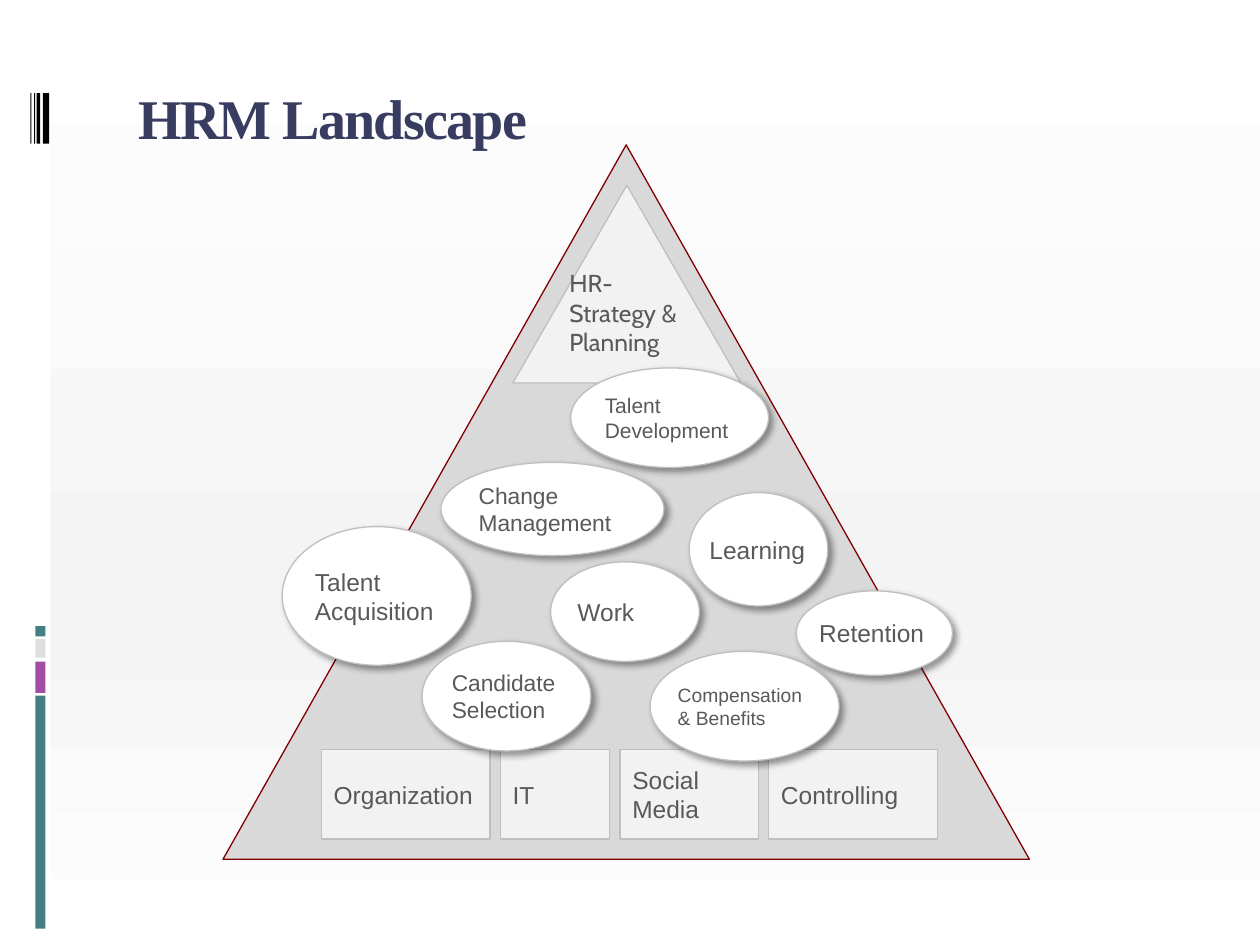
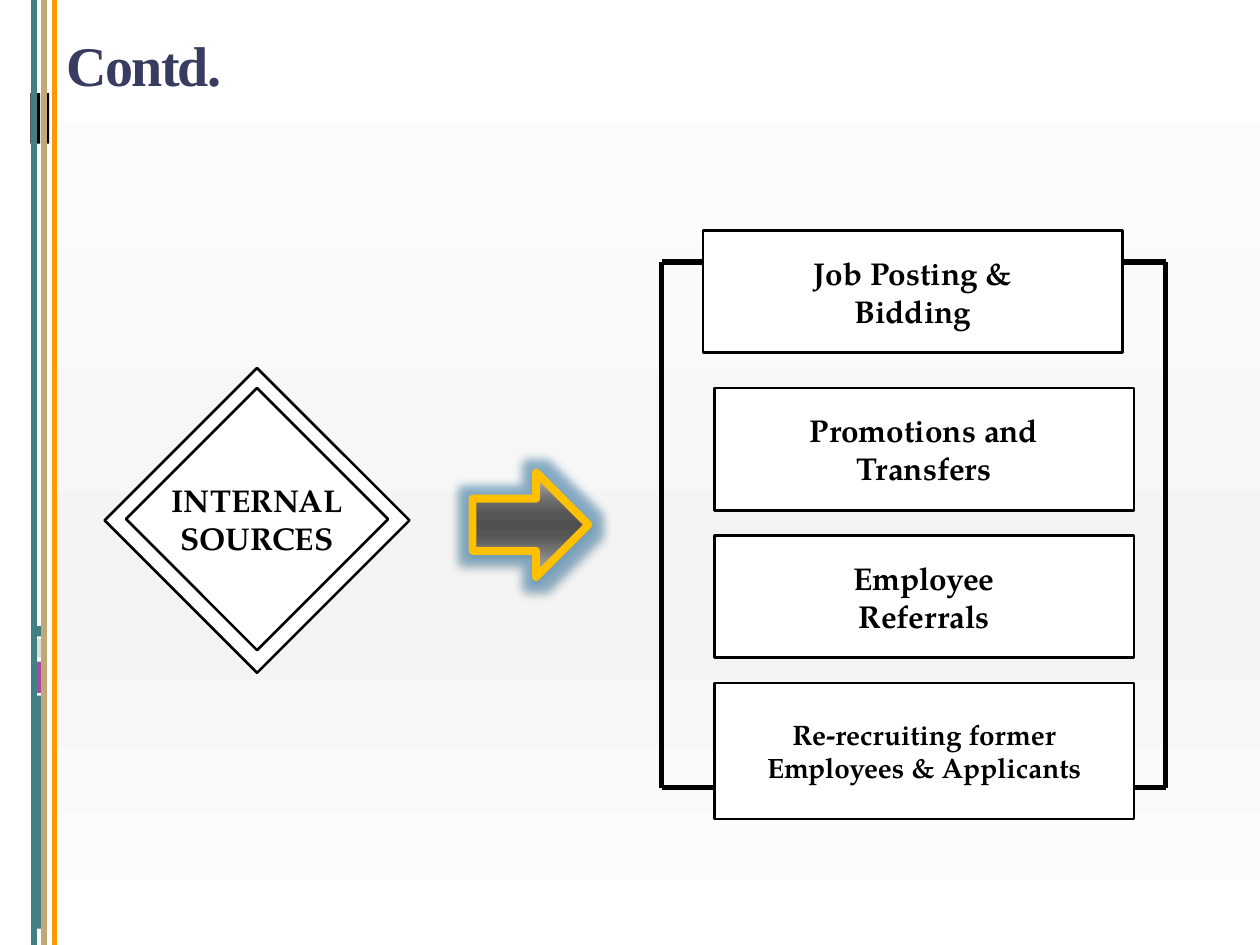
from pptx import Presentation
from pptx.dml.color import RGBColor
from pptx.enum.shapes import MSO_CONNECTOR, MSO_SHAPE as SHAPE
from pptx.enum.text import MSO_ANCHOR as ANCHOR, PP_ALIGN as ALIGN
from pptx.oxml import parse_xml
from pptx.oxml.ns import nsdecls, qn
from pptx.util import Pt

PX = 9144  # 100 px to the inch
WIDTH, HEIGHT = 1000, 750

COLORS = {
    "white": "FFFFFF", "black": "000000", "haze": "F4F4F4",
    "teal": "438086", "purple": "A04DA3", "silver": "DEDEDE",
    "orange": "FF9900", "tan": "C2A874", "gold": "FFC000",
    "title": "383C60", "text": "595959", "edge": "BFBFBF",
    "pyramid": "D9D9D9", "panel": "F2F2F2", "maroon": "800000",
    "rim": "C0C0C0", "grey": "707070", "dark": "555555",
    "core": "505050", "mid": "767676", "glow": "5A99C1",
}
TITLE_FONT, LABEL_FONT, STRATEGY_FONT, SOURCE_FONT = (
    "Times New Roman", "Arial", "Cabin", "TeX Gyre Pagella")
BACKGROUND = [(0, "white"), (65, "haze"), (100, "white")]
METAL = [(0, "rim"), (25, "grey"), (40, "dark"), (50, "core"),
         (60, "dark"), (75, "mid"), (100, "rim")]

# Left edge decoration: left, top, width, height, colour
EDGE_BANDS = [
    (0, 0, 40, HEIGHT, "white"),
    (28, 552, 8, 185, "teal"), (28, 525, 8, 25, "purple"),
    (28, 507, 8, 15, "silver"), (28, 497, 8, 8, "teal"),
    *[(left, 74, width, 40, "black")
      for left, width in ((34, 5), (29, 3), (27, 1), (24, 1))],
]


def rgb(name):
    return RGBColor.from_string(COLORS[name])


class SlideBuilder:
    """Holds the deck style and the slide being drawn."""

    def __init__(self):
        self.deck = Presentation()
        self.deck.slide_width, self.deck.slide_height = WIDTH * PX, HEIGHT * PX
        self.page = None

    def new_page(self):
        self.page = self.deck.slides.add_slide(self.deck.slide_layouts[6])
        self.gradient(self.page.background.fill, self.page.element, BACKGROUND)
        for left, top, width, height, color in EDGE_BANDS:
            self.shape(SHAPE.RECTANGLE, (left, top, width, height), color)

    def gradient(self, fill, owner, stops):
        """Top-to-bottom gradient with any number of stops."""
        fill.gradient()
        element = owner.find(".//" + qn("a:gradFill"))
        stop_list = element.find(qn("a:gsLst"))
        for old in list(stop_list):
            stop_list.remove(old)
        for place, color in stops:
            stop_list.append(parse_xml(
                f'<a:gs {nsdecls("a")} pos="{place * 1000}">'
                f'<a:srgbClr val="{COLORS[color]}"/></a:gs>'))
        element.find(qn("a:lin")).set("ang", "5400000")

    def effect(self, shape, tag, color, alpha, **settings):
        attributes = " ".join(f'{key}="{value}"' for key, value in settings.items())
        shape.element.spPr.find(qn("a:effectLst")).append(parse_xml(
            f'<a:{tag} {nsdecls("a")} {attributes}><a:srgbClr val="{COLORS[color]}">'
            f'<a:alpha val="{alpha * 1000}"/></a:srgbClr></a:{tag}>'))

    def shadow(self, shape, alpha, blur, distance, angle):
        self.effect(shape, "outerShdw", "black", alpha, blurRad=Pt(blur),
                    dist=Pt(distance), dir=angle * 60000, rotWithShape=0)

    def shape(self, kind, place, fill, line=None, weight=0.75):
        shape = self.page.shapes.add_shape(kind, *(value * PX for value in place))
        shape.shadow.inherit = False
        if isinstance(fill, list):
            self.gradient(shape.fill, shape.element, fill)
        else:
            shape.fill.solid()
            shape.fill.fore_color.rgb = rgb(fill)
        if line:
            shape.line.color.rgb = rgb(line)
            shape.line.width = Pt(weight)
        else:
            shape.line.fill.background()
        return shape

    def line(self, start, end, color):
        points = (value * PX for value in (*start, *end))
        line = self.page.shapes.add_connector(MSO_CONNECTOR.STRAIGHT, *points)
        line.line.color.rgb = rgb(color)
        line.line.width = Pt(3)
        line.element.spPr.append(parse_xml(f'<a:effectLst {nsdecls("a")}/>'))

    def label(self, box, paragraphs, size, font, color, bold=False,
              align=ALIGN.LEFT, anchor=ANCHOR.MIDDLE, inset=(10, 5), wrap=True):
        """Each paragraph is a string; a newline in it is a line break."""
        frame = box.text_frame
        frame.word_wrap = wrap
        frame.vertical_anchor = anchor
        frame.margin_left = frame.margin_right = inset[0] * PX
        frame.margin_top = frame.margin_bottom = inset[1] * PX
        spans = []
        for index, words in enumerate(paragraphs):
            para = frame.add_paragraph() if index else frame.paragraphs[0]
            para.alignment = align
            for number, part in enumerate(words.split("\n")):
                if number:
                    para.add_line_break()
                span = para.add_run()
                span.text = part
                span.font.size, span.font.name = Pt(size), font
                span.font.bold, span.font.color.rgb = bold, rgb(color)
                spans.append(span)
        return spans

    def text(self, place, words, size, font, color, **style):
        box = self.page.shapes.add_textbox(*(value * PX for value in place))
        return self.label(box, [words], size, font, color, anchor=ANCHOR.TOP, **style)

    def title(self, place, words):
        for span in self.text(place, words, 32, TITLE_FONT, "title",
                              bold=True, inset=(10, 10)):
            span.font._element.set("spc", "-100")

    def panel(self, place, words):
        box = self.shape(SHAPE.RECTANGLE, place, "panel", "edge")
        self.label(box, [words], 14, LABEL_FONT, "text")

    def bubble(self, place, words, size, side):
        oval = self.shape(SHAPE.OVAL, place, "white", "edge")
        self.shadow(oval, 40, 4, 3, 45)
        self.label(oval, [words], size, LABEL_FONT, "text", inset=(side, 5))

    def source_box(self, kind, place, paragraphs, size=18, **style):
        box = self.shape(kind, place, "white", "black", 1.5)
        self.label(box, paragraphs, size, SOURCE_FONT, "black", bold=True,
                   align=ALIGN.CENTER, **style)


def landscape_page(builder):
    builder.new_page()
    builder.title((100, 56, 850, 100), "HRM Landscape")

    # Pyramid and its tip
    builder.shape(SHAPE.ISOSCELES_TRIANGLE, (177, 115, 640, 567), "pyramid", "maroon")
    builder.shape(SHAPE.ISOSCELES_TRIANGLE, (407, 147, 181, 157), "panel", "edge")
    builder.text((442, 208, 146, 81), "HR-\nStrategy & Planning",
                 14, STRATEGY_FONT, "text")

    # Base row
    left = 255
    for words, width in (("Organization", 134), ("IT", 87),
                         ("Social Media", 110), ("Controlling", 134)):
        builder.panel((left, 595, width, 71), words)
        left += width + 8

    # Bubbles: place, label, text size, side inset
    for bubble in (
        ((224, 418, 150, 110), "Talent Acquisition", 14, 4),
        ((516, 517, 150, 87), "Compensation & Benefits", 11, 0),
        ((547, 391, 110, 90), "Learning", 14, 0),
        ((632, 469, 124, 67), "Retention", 14, 0),
        ((350, 367, 177, 74), "Change Management", 13, 4),
        ((335, 509, 134, 87), "Candidate Selection", 13, 4),
        ((453, 292, 157, 79), "Talent Development", 12, 4),
        ((437, 446, 118, 79), "Work", 14, 4),
    ):
        builder.bubble(*bubble)


def sources_page(builder):
    builder.new_page()

    # Bracket around the boxes
    top, bottom = 208, 625
    for outer, inner in ((525, 567), (925, 883)):
        builder.line((outer, top), (outer, bottom), "black")
        for level in (top, bottom):
            builder.line((outer, level), (inner, level), "black")

    # Source boxes
    builder.source_box(SHAPE.RECTANGLE, (558, 183, 333, 97),
                       ["Job Posting &", "Bidding"])
    for row, (height, size, paragraphs) in enumerate((
        (97, 18, ["Promotions and", "Transfers"]),
        (97, 18, ["Employee", "Referrals"]),
        (108, 16, ["Re-recruiting former Employees & Applicants"]),
    )):
        builder.source_box(SHAPE.RECTANGLE, (567, 308 + row * 117, 333, height),
                           paragraphs, size)

    # Double diamond
    builder.shape(SHAPE.DIAMOND, (83, 292, 242, 242), "white", "black", 1.5)
    builder.source_box(SHAPE.DIAMOND, (100, 308, 208, 208),
                       ["INTERNAL", "SOURCES"], inset=(0, 0), wrap=False)

    # Glowing arrow
    arrow = builder.shape(SHAPE.RIGHT_ARROW, (375, 375, 92, 83), METAL, "gold", 4.5)
    builder.effect(arrow, "glow", "glow", 60, rad=Pt(11))
    builder.shadow(arrow, 35, 3.1, 1.8, 90)

    # Full-height stripes
    for left, color in ((27, "teal"), (43, "orange"), (35, "tan")):
        builder.line((left, 0), (left, HEIGHT), color)
    builder.title((43, 14, 937, 93), "Contd.")


def main():
    builder = SlideBuilder()
    landscape_page(builder)
    sources_page(builder)
    builder.deck.save("out.pptx")


if __name__ == "__main__":
    main()
